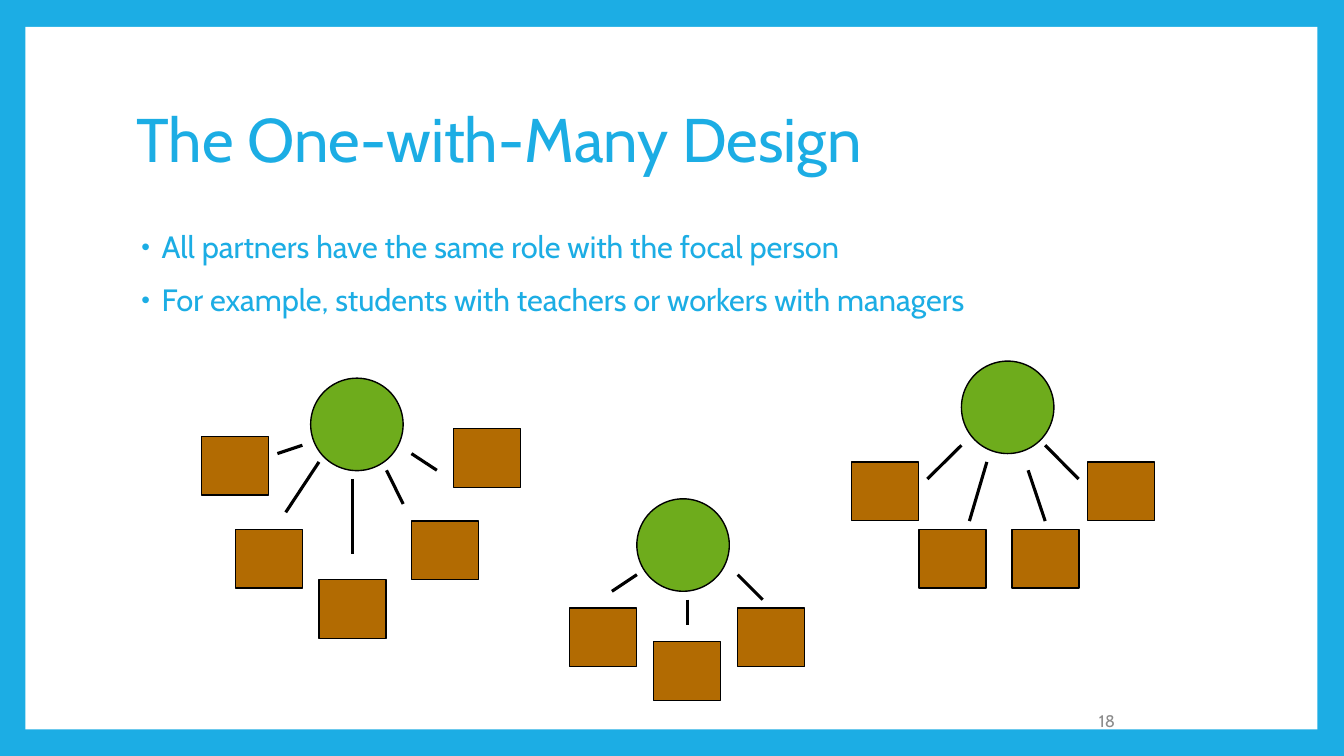
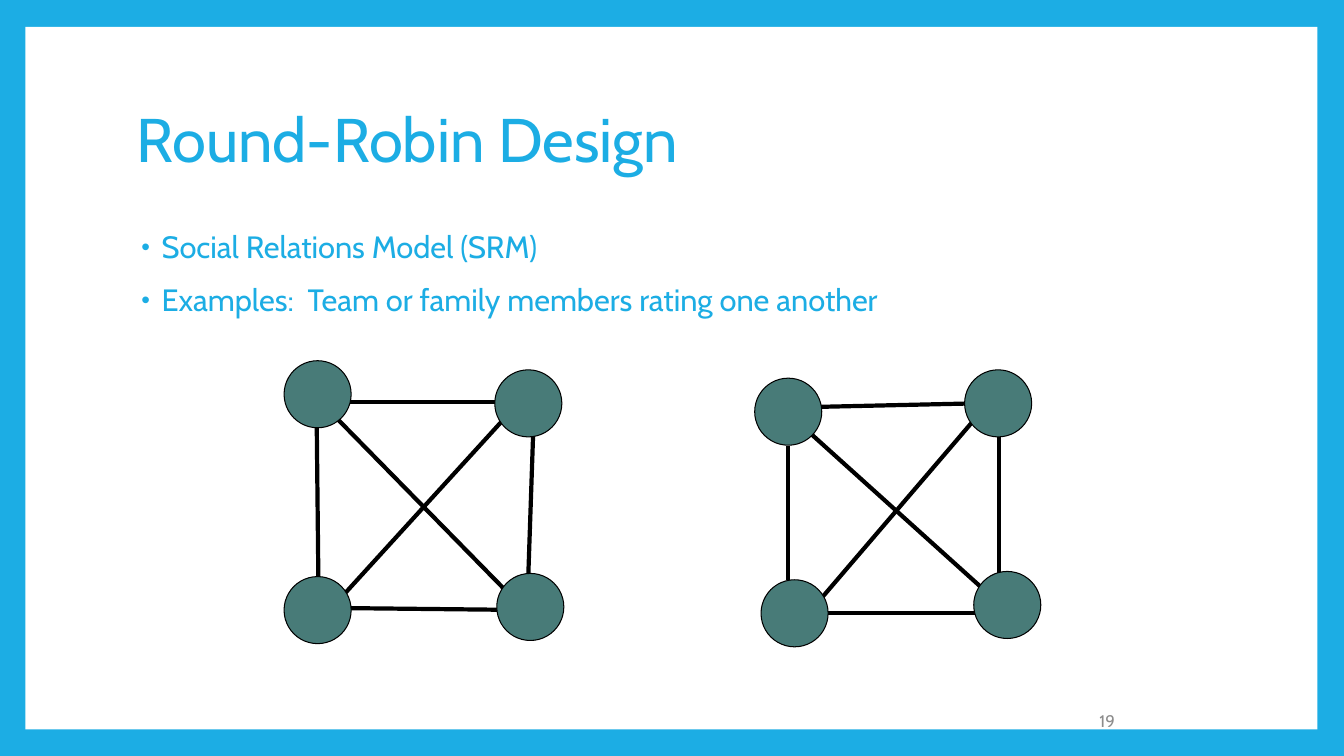
from dataclasses import dataclass

from lxml import etree
from pptx import Presentation
from pptx.dml.color import RGBColor
from pptx.enum.shapes import MSO_CONNECTOR, MSO_SHAPE
from pptx.enum.text import MSO_ANCHOR, MSO_AUTO_SIZE, PP_ALIGN
from pptx.oxml.ns import qn
from pptx.util import Cm, Pt

ELLIPSE, RECTANGLE = MSO_SHAPE.OVAL, MSO_SHAPE.RECTANGLE
STRAIGHT = MSO_CONNECTOR.STRAIGHT
TOP, MIDDLE = MSO_ANCHOR.TOP, MSO_ANCHOR.MIDDLE
LEFT, RIGHT = PP_ALIGN.LEFT, PP_ALIGN.RIGHT
NO_AUTOFIT = MSO_AUTO_SIZE.NONE

SKY = RGBColor(0x1C, 0xAD, 0xE4)
WHITE = RGBColor(0xFF, 0xFF, 0xFF)
BLACK = RGBColor(0x00, 0x00, 0x00)
GRAY = RGBColor(0x8C, 0x8C, 0x8C)
GREEN = RGBColor(0x6E, 0xAC, 0x1C)
BROWN = RGBColor(0xB2, 0x6B, 0x02)
TEAL = RGBColor(0x48, 0x7B, 0x78)

FONT = "Cabin"
TITLE_AND_CONTENT = 1
PANEL_ID = 20

# Frames are left, top, width, height in centimetres.
Frame = tuple[float, float, float, float]
PANEL_FRAME: Frame = (0.64, 0.68, 32.56, 17.7)
TITLE_FRAME: Frame = (3.18, 1.7, 27.43, 3.76)
BODY_FRAME: Frame = (3.18, 5.72, 27.43, 11.23)
NUMBER_FRAME: Frame = (22.43, 17.65, 5.92, 1.02)


@dataclass(frozen=True)
class NodeStyle:
    preset: MSO_SHAPE
    fill: RGBColor
    width: float
    height: float
    outline: float


@dataclass(frozen=True)
class NodeSet:
    """Nodes of one style, given by their left and top in centimetres."""
    style: NodeStyle
    corners: list[tuple[float, float]]


@dataclass(frozen=True)
class Network:
    """Nodes and the links (from x, y, to x, y) drawn behind them."""
    link_weight: float
    links: list[tuple[float, float, float, float]]
    node_sets: list[NodeSet]


@dataclass(frozen=True)
class Page:
    number: int
    title: str
    bullets: list[str]
    networks: list[Network]


FOCAL = NodeStyle(ELLIPSE, GREEN, 2.33, 2.33, 1)
PARTNER = NodeStyle(RECTANGLE, BROWN, 1.69, 1.48, 1)
MEMBER = NodeStyle(ELLIPSE, TEAL, 1.69, 1.69, 0.75)


def star(focal, partners, spokes) -> Network:
    return Network(2.25, spokes, [NodeSet(FOCAL, [focal]), NodeSet(PARTNER, partners)])


def round_robin(members, links) -> Network:
    return Network(3, links, [NodeSet(MEMBER, members)])


PAGES = [
    Page(
        18,
        "The One-with-Many Design",
        ["All partners have the same role with the focal person",
         "For example, students with teachers or workers with managers"],
        [
            star((7.83, 9.53),
                 [(5.08, 11), (5.93, 13.34), (8.04, 14.61), (10.37, 13.13), (11.43, 10.8)],
                 [(7.62, 11.22, 6.99, 11.43), (8.04, 11.64, 7.2, 12.91),
                  (8.89, 12.07, 8.89, 13.97), (9.74, 11.85, 10.16, 12.7),
                  (10.37, 11.43, 11.01, 11.85)]),
            star((16.05, 12.57),
                 [(14.35, 15.32), (16.47, 16.17), (18.59, 15.32)],
                 [(16.05, 14.48, 15.42, 14.9), (17.32, 15.11, 17.32, 15.75),
                  (18.59, 14.48, 19.22, 15.11)]),
            star((24.23, 9.1),
                 [(21.46, 11.64), (23.16, 13.34), (25.5, 13.34), (27.41, 11.64)],
                 [(24.23, 11.22, 23.37, 12.07), (24.87, 11.64, 24.43, 13.13),
                  (25.91, 11.85, 26.34, 13.13), (26.34, 11.22, 27.18, 12.07)]),
        ],
    ),
    Page(
        19,
        "Round-Robin Design",
        ["Social Relations Model (SRM)",
         "Examples:  Team or family members rating one another"],
        [
            round_robin([(7.16, 9.09), (12.47, 9.32), (12.52, 14.45), (7.16, 14.53)],
                        [(7.98, 10.52, 8.03, 15.24), (13.44, 10.8, 13.31, 14.61),
                         (8.31, 10.36, 12.9, 15.04), (8.43, 15.24, 12.67, 10.59),
                         (13.11, 10.13, 8.31, 10.13), (8.43, 15.32, 13.11, 15.37)]),
            round_robin([(19.02, 9.53), (24.31, 9.32), (24.54, 14.4), (19.18, 14.61)],
                        [(20.29, 10.8, 24.74, 14.81), (20.29, 15.44, 25.17, 15.44),
                         (25.17, 11, 25.17, 15.04), (24.77, 10.16, 20.29, 10.26),
                         (19.86, 11.23, 19.86, 14.61), (20.73, 15.04, 24.54, 10.59)]),
        ],
    ),
]


def place(shape, frame: Frame) -> None:
    shape.left, shape.top, shape.width, shape.height = map(Cm, frame)


def set_frame(frame, anchor) -> None:
    frame.word_wrap = True
    frame.auto_size = NO_AUTOFIT
    frame.vertical_anchor = anchor


def add_span(para, text: str, size: float, color: RGBColor) -> None:
    span = para.add_run()
    span.text = text
    span.font.name = FONT
    span.font.size = Pt(size)
    span.font.color.rgb = color


def add_bullet(para) -> None:
    """Give the paragraph a small sky-blue dot and a hanging indent."""
    properties = para._p.get_or_add_pPr()
    properties.set("marL", str(Cm(0.64)))
    properties.set("indent", str(-Cm(0.51)))
    color = etree.SubElement(properties, qn("a:buClr"))
    etree.SubElement(color, qn("a:srgbClr"), val=str(SKY))
    etree.SubElement(properties, qn("a:buSzPct"), val="80000")
    etree.SubElement(properties, qn("a:buChar"), char="•")


def write_title(page, text: str) -> None:
    title = page.shapes.title
    place(title, TITLE_FRAME)
    set_frame(title.text_frame, MIDDLE)
    para = title.text_frame.paragraphs[0]
    para.alignment = LEFT
    para.line_spacing = 0.9
    add_span(para, text, 44, SKY)


def write_bullets(page, bullets: list[str]) -> None:
    body = page.placeholders[1]
    place(body, BODY_FRAME)
    frame = body.text_frame
    set_frame(frame, TOP)
    for index, text in enumerate(bullets):
        para = frame.add_paragraph() if index else frame.paragraphs[0]
        para.line_spacing = 0.9
        para.space_before = Pt(14)
        add_bullet(para)
        add_span(para, text, 22, SKY)


def write_number(page, number: int) -> None:
    box = page.shapes.add_textbox(*map(Cm, NUMBER_FRAME))
    set_frame(box.text_frame, MIDDLE)
    para = box.text_frame.paragraphs[0]
    para.alignment = RIGHT
    add_span(para, str(number), 12, GRAY)


def add_link(shapes, ends, weight: float) -> None:
    link = shapes.add_connector(STRAIGHT, *map(Cm, ends))
    link.line.color.rgb = BLACK
    link.line.width = Pt(weight)
    etree.SubElement(link.element.spPr, qn("a:effectLst"))


def add_node(shapes, style: NodeStyle, corner) -> None:
    node = shapes.add_shape(style.preset, *map(Cm, (*corner, style.width, style.height)))
    node.shadow.inherit = False
    node.fill.solid()
    node.fill.fore_color.rgb = style.fill
    node.line.color.rgb = BLACK
    node.line.width = Pt(style.outline)


def add_network(page, network: Network) -> None:
    shapes = page.shapes.add_group_shape().shapes
    for ends in network.links:
        add_link(shapes, ends, network.link_weight)
    for node_set in network.node_sets:
        for corner in node_set.corners:
            add_node(shapes, node_set.style, corner)


def frame_master(master, page) -> None:
    """Give the master a sky border; its white panel is made on page and moved."""
    master.background.fill.solid()
    master.background.fill.fore_color.rgb = SKY
    panel = page.shapes.add_shape(RECTANGLE, *map(Cm, PANEL_FRAME))
    panel.shadow.inherit = False
    panel.fill.solid()
    panel.fill.fore_color.rgb = WHITE
    panel.line.fill.background()
    panel.element.nvSpPr.cNvPr.set("id", str(PANEL_ID))
    master.shapes.element.insert(2, panel.element)


def main() -> None:
    deck = Presentation()
    deck.slide_width, deck.slide_height = Cm(33.87), Cm(19.05)
    layout = deck.slide_layouts[TITLE_AND_CONTENT]
    for content in PAGES:
        page = deck.slides.add_slide(layout)
        write_title(page, content.title)
        write_bullets(page, content.bullets)
        for network in content.networks:
            add_network(page, network)
        write_number(page, content.number)
    frame_master(deck.slide_master, deck.slides[0])
    deck.save("out.pptx")


if __name__ == "__main__":
    main()
